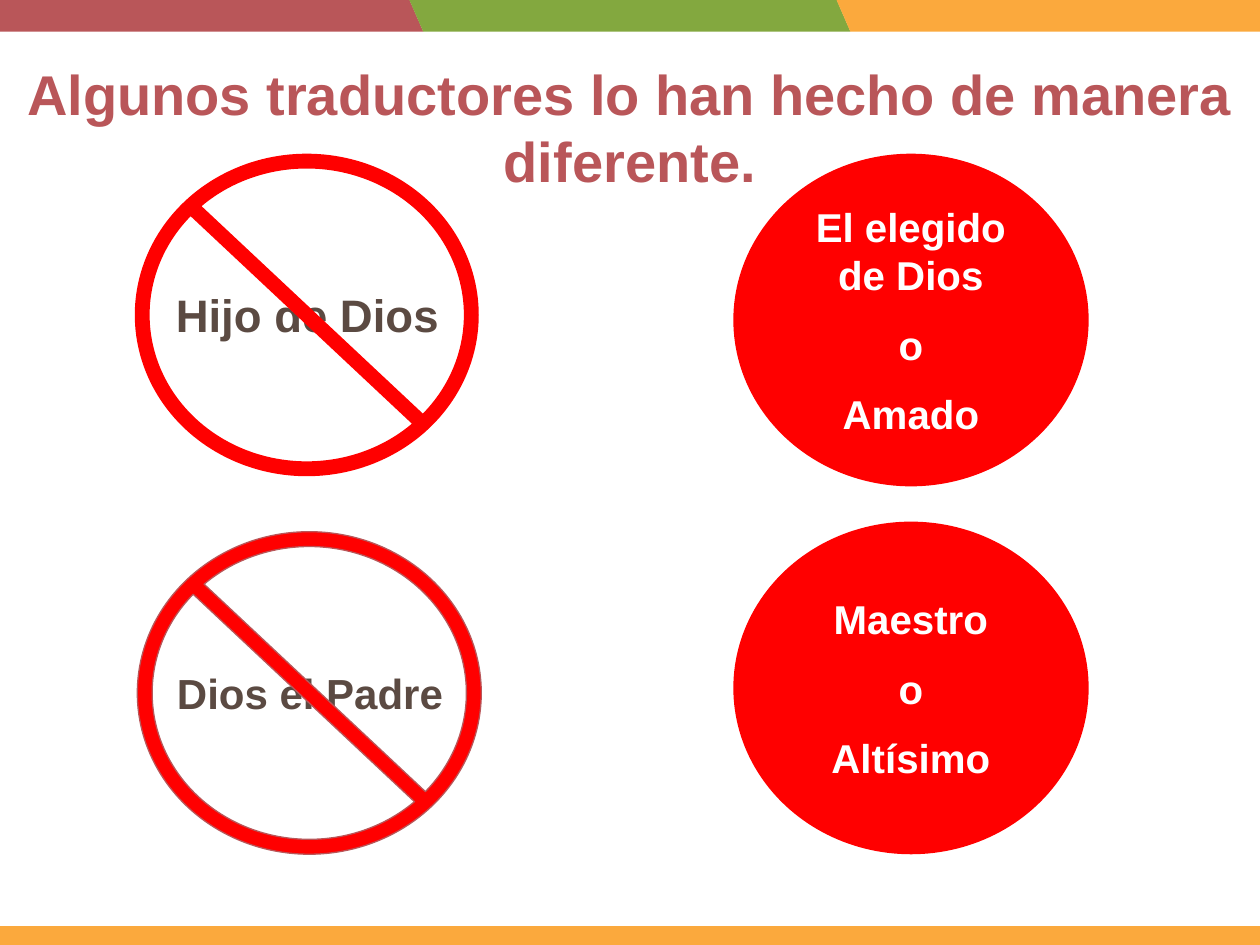
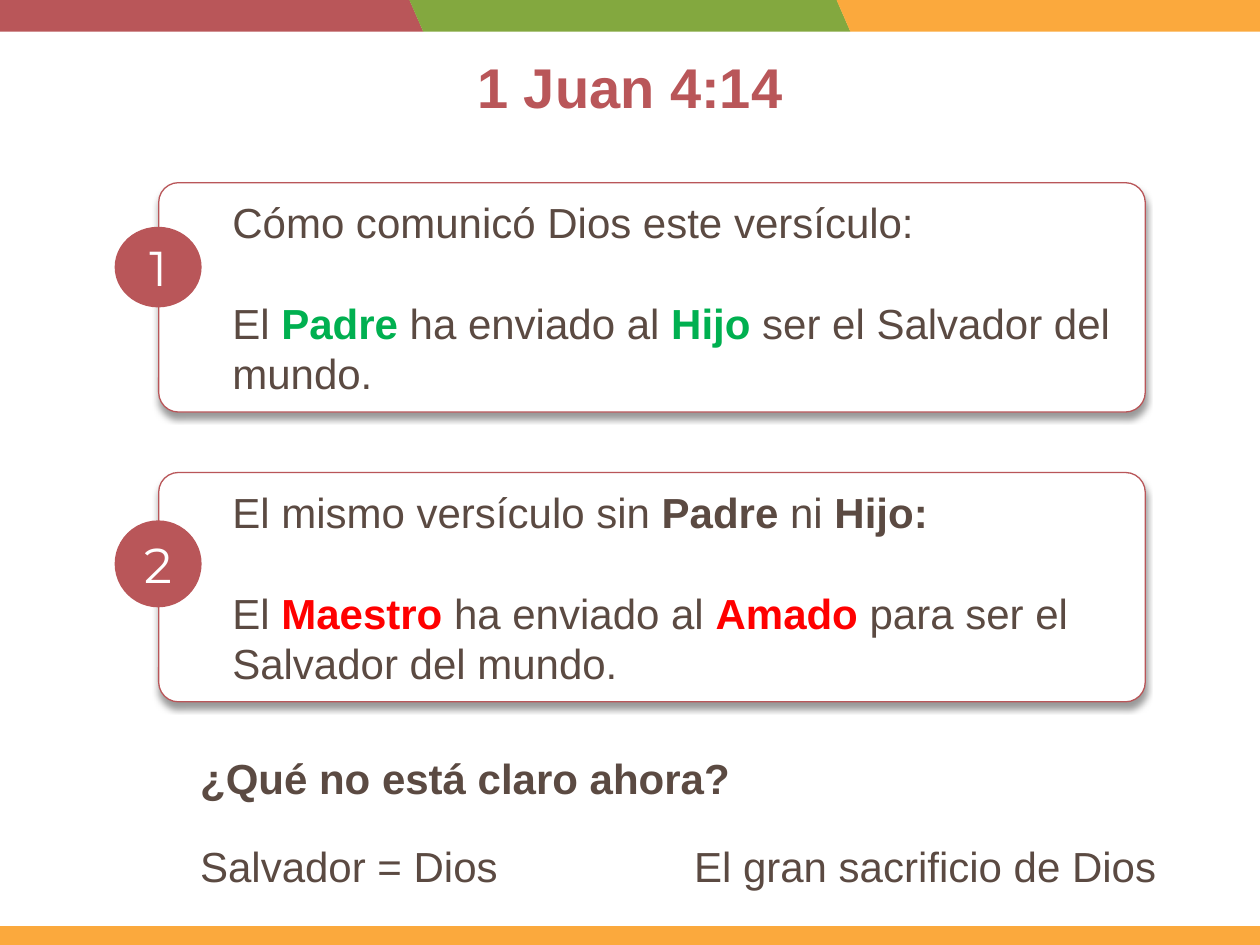
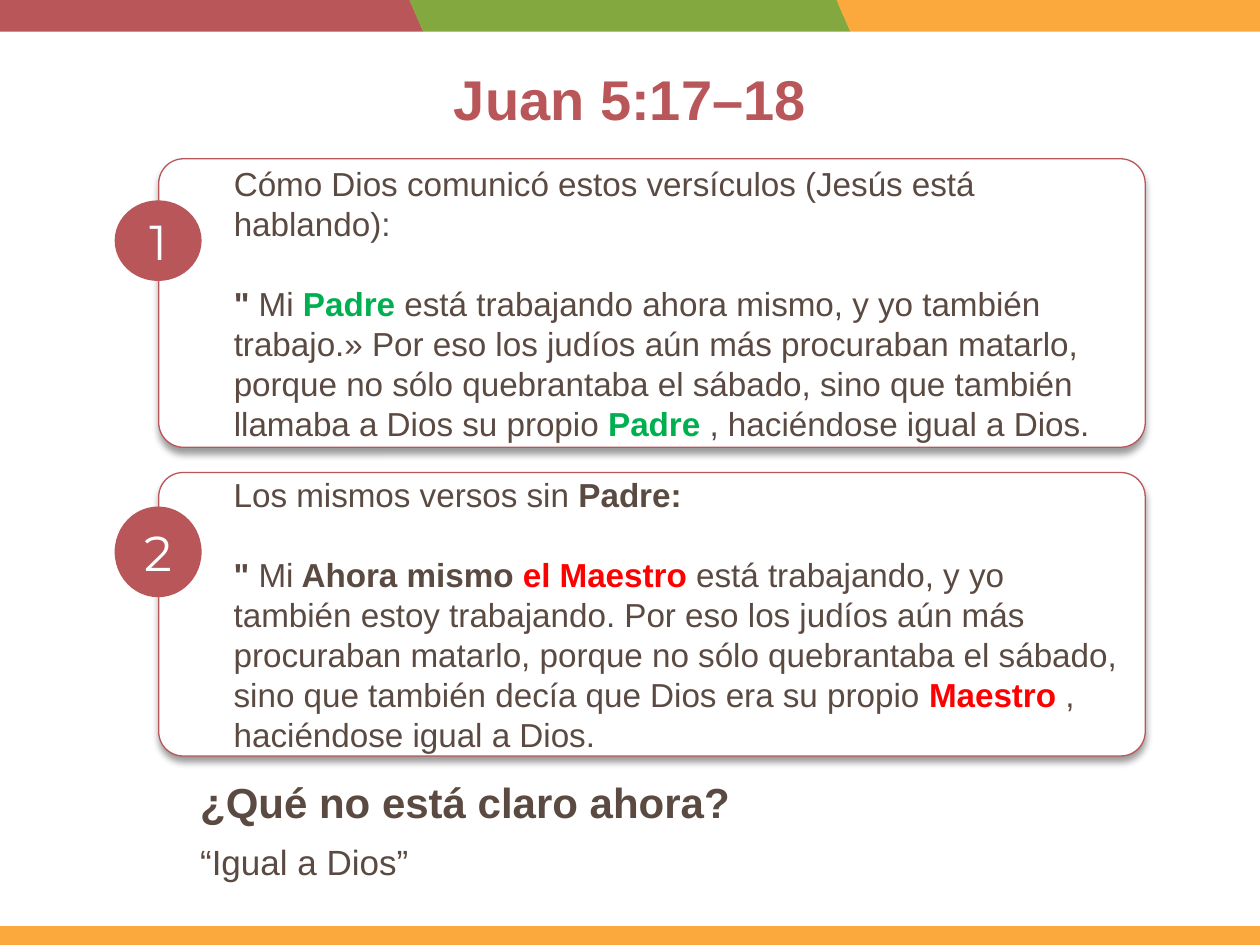
from lxml import etree
from pptx import Presentation
from pptx.dml.color import RGBColor
from pptx.enum import shapes, text
from pptx.oxml.ns import qn
from pptx.util import Inches, Pt

ROSE = RGBColor(0xB9, 0x56, 0x59)
LEAF = RGBColor(0x83, 0xA8, 0x3F)
ORANGE = RGBColor(0xFB, 0xA9, 0x3D)
BROWN = RGBColor(0x5B, 0x4A, 0x42)
RED = RGBColor(0xFF, 0, 0)
GREEN = RGBColor(0, 0xB0, 0x50)
WHITE = RGBColor(0xFF, 0xFF, 0xFF)
SHAPE = shapes.MSO_SHAPE
CENTER = text.PP_ALIGN.CENTER
MIDDLE = text.MSO_ANCHOR.MIDDLE

TERMS_TITLE = "Algunos traductores lo han hecho de manera diferente."
REJECTED = [
    ("Hijo de Dios", 26, (1.03, 1.84, 2.82, 1.31), (1.07, 1.22, 2.73, 2.56), None),
    ("Dios el Padre", 24, (1.05, 4.71, 2.82, 1.58), (1.09, 4.22, 2.73, 2.56), ROSE),
]
SUBSTITUTES = [
    (["El elegido de Dios", "o", "Amado"], 1.22),
    (["Maestro", "o", "Altísimo"], 4.14),
]
QUESTION = "¿Qué no está claro ahora?"

VERSES = [
    {
        "title": "1 Juan 4:14", "title_top": 0.37, "size": 24,
        "cards": [
            (1.45, 1.82, 1.8, 0.64, [
                ["Cómo comunicó Dios este versículo:"],
                ["El ", ("Padre ", GREEN), "ha enviado al ", ("Hijo ", GREEN),
                 "ser el Salvador del mundo."],
            ]),
            (3.75, 1.82, 4.13, 0.69, [
                ["El mismo versículo sin ", ("Padre ", BROWN), "ni ", ("Hijo:", BROWN)],
                ["El ", ("Maestro ", RED), "ha enviado al ", ("Amado ", RED),
                 "para ser el Salvador del mundo."],
            ]),
        ],
        "question_top": 5.92,
        "answers": [("Salvador = Dios", 1.49, 2.83, 0.5, 24),
                    ("El gran sacrificio de Dios", 5.41, 4.08, 0.5, 24)],
    },
    {
        "title": "Juan 5:17–18", "title_top": 0.46, "size": 19,
        "cards": [
            (1.26, 2.29, 1.59, 0.64, [
                ["Cómo Dios comunicó estos versículos (Jesús está hablando):"],
                [('" ', BROWN), "Mi ", ("Padre ", GREEN),
                 "está trabajando ahora mismo, y yo también trabajo.» Por eso los judíos "
                 "aún más procuraban matarlo, porque no sólo quebrantaba el sábado, sino "
                 "que también llamaba a Dios su propio ",
                 ("Padre ", GREEN), ", haciéndose igual a Dios."],
            ]),
            (3.75, 2.25, 4.02, 0.72, [
                ["Los mismos versos sin ", ("Padre:", BROWN)],
                [('" ', BROWN), "Mi", (" Ahora mismo ", BROWN), ("el Maestro ", RED),
                 "está trabajando, y yo también estoy trabajando. Por eso los judíos aún "
                 "más procuraban matarlo, porque no sólo quebrantaba el sábado, sino que "
                 "también decía que Dios era su propio ",
                 ("Maestro ", RED), ", haciéndose igual a Dios."],
            ]),
        ],
        "question_top": 6.11,
        "answers": [("“Igual a Dios”", 1.49, 5.6, 0.44, 20)],
    },
]


def write(box, paragraphs, size=24, color=BROWN, bold=False, font="Arial",
          align=text.PP_ALIGN.LEFT, anchor=text.MSO_ANCHOR.TOP, gap=0, indent=0):
    frame = box.text_frame
    frame.word_wrap = True
    frame.auto_size = text.MSO_AUTO_SIZE.NONE
    frame.vertical_anchor = anchor
    for index, spans in enumerate(paragraphs):
        para = frame.add_paragraph() if index else frame.paragraphs[0]
        para.alignment = align
        para.space_before = Pt(gap if index else 0)
        if indent:
            para._p.get_or_add_pPr().set("marL", str(Inches(indent)))
        for span in spans:
            words, tint, heavy = (span, color, bold) if isinstance(span, str) else (*span, True)
            run = para.add_run()
            run.text = words
            run.font.name = font
            run.font.size = Pt(size)
            run.font.bold = heavy
            run.font.color.rgb = tint


def add_shape(page, kind, bounds, fill, line=None, adjust=None):
    shape = page.shapes.add_shape(kind, *map(Inches, bounds))
    shape.fill.solid()
    shape.fill.fore_color.rgb = fill
    if line is None:
        shape.line.fill.background()
    else:
        shape.line.color.rgb = line
        shape.line.width = Pt(0.75)
    if adjust is not None:
        shape.adjustments[0] = adjust
    shape.shadow.inherit = False
    return shape


def add_text(page, bounds, words, **style):
    box = page.shapes.add_textbox(*map(Inches, bounds))
    write(box, [[words]], **style)


def drop_shadow(shape):
    effects = shape._element.spPr.find(qn("a:effectLst"))
    shadow = etree.SubElement(effects, qn("a:outerShdw"), blurRad=str(Pt(4)),
                              dist=str(Pt(3)), dir="5400000", rotWithShape="0")
    tint = etree.SubElement(shadow, qn("a:srgbClr"), val="000000")
    etree.SubElement(tint, qn("a:alpha"), val="40000")


def add_page(deck, title, left, top, width):
    page = deck.slides.add_slide(deck.slide_layouts[5])
    box = page.shapes.title
    box.left, box.top, box.width, box.height = map(Inches, (left, top, width, 1.45))
    write(box, [[title]], size=32, color=ROSE, bold=True, align=CENTER)
    return page


def decorate_master(deck, page):
    bands = []
    for index, color in enumerate((ROSE, LEAF, ORANGE)):
        band = add_shape(page, SHAPE.PARALLELOGRAM, (-0.14 + 3.39 * index, 0, 3.5, 0.25),
                         color, adjust=0.436)
        band._element.spPr.find(qn("a:xfrm")).set("flipH", "1")
        bands.append(band)
    bands.append(add_shape(page, SHAPE.RECTANGLE, (0, 7.35, 10, 0.15), ORANGE))
    for band in bands:
        deck.slide_master.shapes._spTree.append(band._element)


def fill_terms(page):
    for words, size, label, sign, line in REJECTED:
        add_text(page, label, words, size=size, bold=True, align=CENTER, anchor=MIDDLE)
        add_shape(page, SHAPE.NO_SYMBOL, sign, RED, line, adjust=0.046)
    for words, top in SUBSTITUTES:
        disc = add_shape(page, SHAPE.OVAL, (5.82, top, 2.82, 2.64), RED)
        write(disc, [[line] for line in words], size=23, color=WHITE, bold=True,
              align=CENTER, anchor=MIDDLE, gap=12)


def fill_verse(page, verse):
    size = verse["size"]
    for number, (top, height, badge_top, badge_height, lines) in enumerate(verse["cards"], 1):
        card = add_shape(page, SHAPE.ROUNDED_RECTANGLE, (1.26, top, 7.83, height),
                         WHITE, ROSE, adjust=0.086)
        drop_shadow(card)
        write(card, lines, size=size, anchor=MIDDLE, gap=round(size * 1.2), indent=0.44)
        badge = add_shape(page, SHAPE.OVAL, (0.91, badge_top, 0.69, badge_height), ROSE)
        write(badge, [[str(number)]], size=28, color=WHITE, font="Montserrat",
              align=CENTER, anchor=MIDDLE)
    for words, left, width, height, answer_size in verse["answers"]:
        add_text(page, (left, 6.62, width, height), words, size=answer_size)
    add_text(page, (1.49, verse["question_top"], 4.89, 0.5), QUESTION, bold=True)


def main():
    deck = Presentation()
    deck.slide_width, deck.slide_height = Inches(10), Inches(7.5)
    page = add_page(deck, TERMS_TITLE, 0, 0.42, 10)
    decorate_master(deck, page)
    fill_terms(page)
    for verse in VERSES:
        page = add_page(deck, verse["title"], 0.69, verse["title_top"], 8.62)
        fill_verse(page, verse)
    deck.save("out.pptx")


if __name__ == "__main__":
    main()
